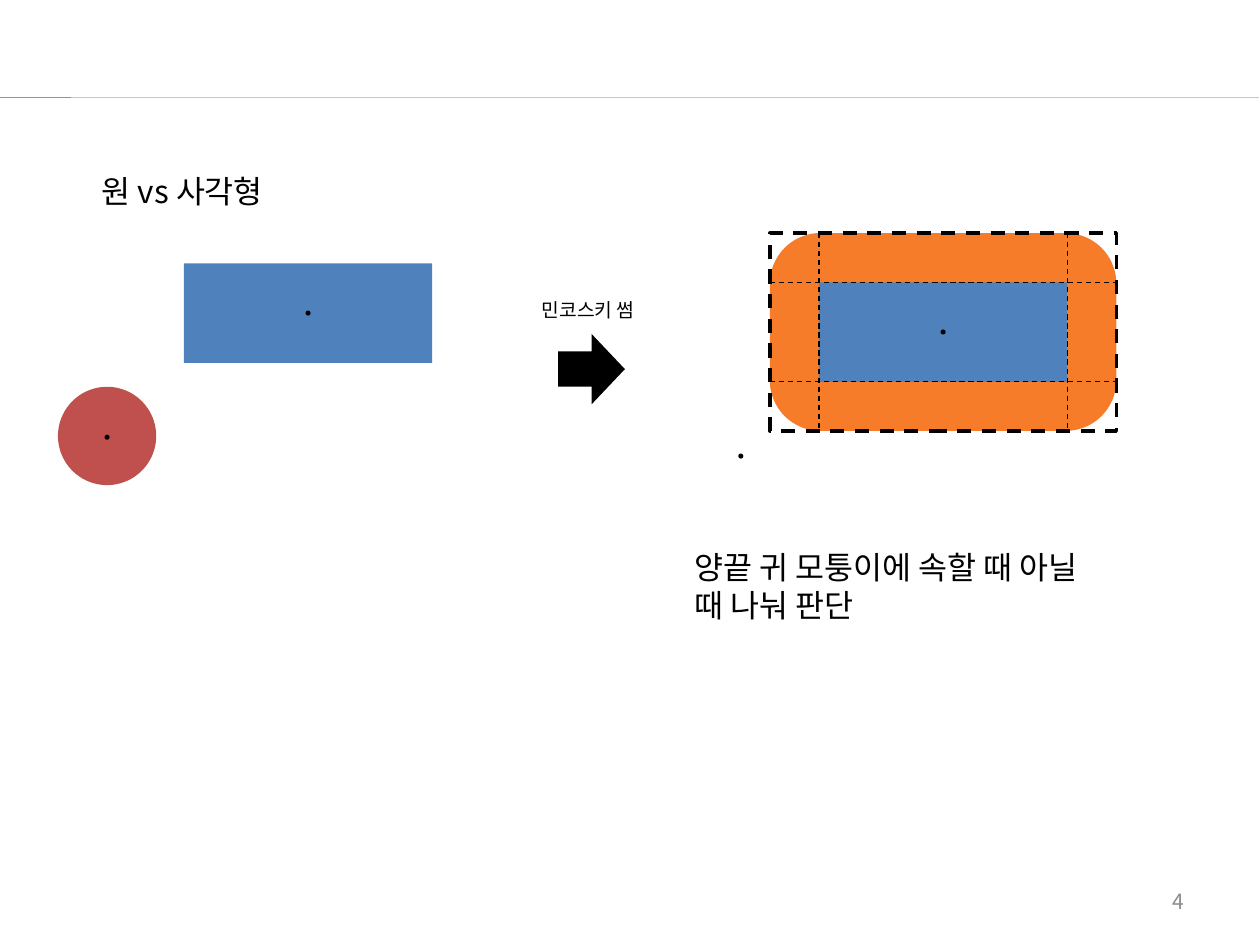
from lxml import etree
from pptx import Presentation
from pptx.dml.color import RGBColor
from pptx.enum.dml import MSO_LINE
from pptx.enum.shapes import MSO_CONNECTOR, MSO_SHAPE
from pptx.enum.text import MSO_ANCHOR, PP_ALIGN
from pptx.oxml.ns import qn
from pptx.util import Inches, Pt

FONT = "Noto Sans CJK KR"
BLACK, BLUE, RED, ORANGE = "000000", "4F81BD", "C0504D", "F67C2A"
RADIUS, DOT = 0.39, 0.04
RECT_WIDTH, RECT_HEIGHT = 1.97, 0.79


def color(value):
    """Turn a hex string into a colour."""
    return RGBColor.from_string(value)


def style_line(line, value, width, dashed=False):
    """Set colour, width and dash of a line."""
    line.color.rgb = color(value)
    line.width = Pt(width)
    if dashed:
        line.dash_style = MSO_LINE.DASH


def add_shape(parent, kind, left, top, width, height, fill=None):
    """Add a preset shape without shadow or outline."""
    shape = parent.shapes.add_shape(
        kind, Inches(left), Inches(top), Inches(width), Inches(height))
    shape.shadow.inherit = False
    shape.line.fill.background()
    if fill:
        shape.fill.solid()
        shape.fill.fore_color.rgb = color(fill)
    else:
        shape.fill.background()
    return shape


def add_dot(parent, x, y):
    """Add a small centre mark at a point."""
    add_shape(parent, MSO_SHAPE.OVAL, x - DOT / 2, y - DOT / 2, DOT, DOT, BLACK)


def add_line(parent, start, end, value, width, dashed=False):
    """Add a straight line between two points."""
    line = parent.shapes.add_connector(
        MSO_CONNECTOR.STRAIGHT, *[Inches(value) for value in start + end])
    etree.SubElement(line._element.spPr, qn("a:effectLst"))
    style_line(line.line, value, width, dashed)


def add_text(page, text, left, top, width, height, size, value=BLACK,
             align=PP_ALIGN.LEFT, anchor=MSO_ANCHOR.TOP):
    """Add a wrapped text box with one paragraph."""
    box = page.shapes.add_textbox(
        Inches(left), Inches(top), Inches(width), Inches(height))
    frame = box.text_frame
    frame.word_wrap = True
    frame.vertical_anchor = anchor
    para = frame.paragraphs[0]
    para.alignment = align
    span = para.add_run()
    span.text = text
    span.font.name = FONT
    span.font.size = Pt(size)
    span.font.color.rgb = color(value)
    east_asian = etree.Element(qn("a:ea"), typeface=FONT)
    span.font._element.find(qn("a:latin")).addnext(east_asian)


def add_circle_and_rectangle(page):
    """Draw the two separate figures with their centres."""
    group = page.shapes.add_group_shape()
    add_shape(group, MSO_SHAPE.OVAL, 0.46, 3.07, 2 * RADIUS, 2 * RADIUS, RED)
    add_dot(group, 0.85, 3.47)
    add_shape(group, MSO_SHAPE.RECTANGLE, 1.46, 2.09, RECT_WIDTH, RECT_HEIGHT, BLUE)
    add_dot(group, 1.46 + RECT_WIDTH / 2, 2.09 + RECT_HEIGHT / 2)


def add_minkowski_sum(page, left, top):
    """Draw the rectangle grown by the circle radius, with its guides."""
    group = page.shapes.add_group_shape()
    width, height = RECT_WIDTH + 2 * RADIUS, RECT_HEIGHT + 2 * RADIUS
    right, bottom = left + width, top + height
    inner_left, inner_top = left + RADIUS, top + RADIUS
    rounded = add_shape(group, MSO_SHAPE.ROUNDED_RECTANGLE,
                        left, top, width, height, ORANGE)
    rounded.adjustments[0] = 0.256
    add_shape(group, MSO_SHAPE.RECTANGLE, inner_left, inner_top,
              RECT_WIDTH, RECT_HEIGHT, BLUE)
    add_dot(group, left + width / 2, top + height / 2)
    add_dot(group, 5.88, 3.62)
    bounds = add_shape(group, MSO_SHAPE.RECTANGLE, left, top, width, height)
    style_line(bounds.line, BLACK, 2, True)
    for x in (inner_left, inner_left + RECT_WIDTH):
        add_line(group, (x, top), (x, bottom), BLACK, 0.75, True)
    for y in (inner_top, inner_top + RECT_HEIGHT):
        add_line(group, (left, y), (right, y), BLACK, 0.75, True)


def main():
    """Build the slide and save it."""
    deck = Presentation()
    deck.slide_width, deck.slide_height = Inches(10), Inches(7.5)
    page = deck.slides.add_slide(deck.slide_layouts[6])
    add_line(page, (0, 0.77), (9.99, 0.77), "D5C5B6", 0.4)
    add_line(page, (0, 0.77), (0.56, 0.77), "EB801A", 0.4)
    add_text(page, "4", 7.17, 6.95, 2.33, 0.4, 12, "8C8C8C",
             PP_ALIGN.RIGHT, MSO_ANCHOR.MIDDLE)
    add_text(page, "원 vs 사각형", 0.71, 1.32, 2.47, 0.4, 18)
    add_circle_and_rectangle(page)
    add_shape(page, MSO_SHAPE.RIGHT_ARROW, 4.43, 2.65, 0.53, 0.56, BLACK)
    add_minkowski_sum(page, 6.11, 1.85)
    add_text(page, "민코스키 썸", 4.2, 2.32, 1.22, 0.29, 11)
    add_text(page, "양끝 귀 모퉁이에 속할 때 아닐 때 나눠 판단",
             5.41, 4.3, 3.42, 0.71, 18)
    deck.save("out.pptx")


main()
